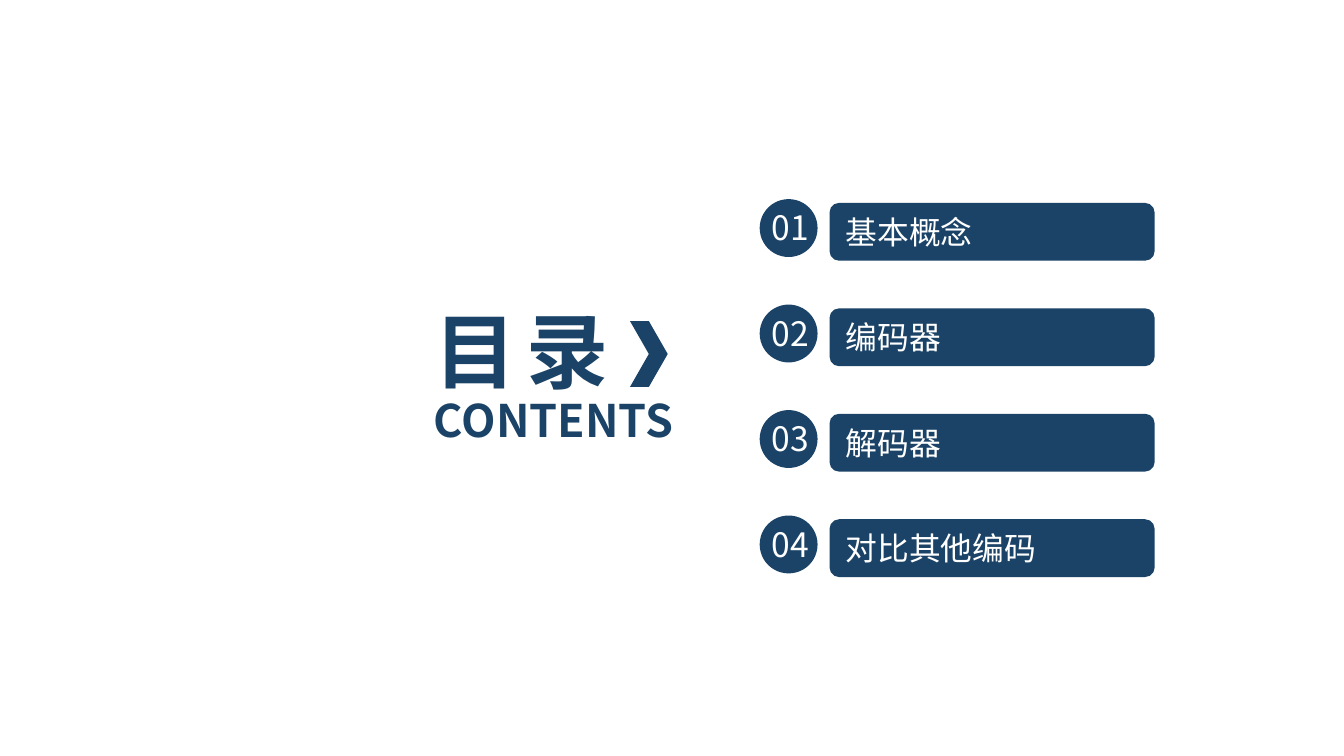
from pptx import Presentation
from pptx.dml.color import RGBColor
from pptx.enum.shapes import MSO_SHAPE
from pptx.enum.text import MSO_ANCHOR, MSO_AUTO_SIZE, PP_ALIGN
from pptx.util import Pt

NAVY = RGBColor(0x1B, 0x43, 0x67)
WHITE = RGBColor(0xFF, 0xFF, 0xFF)
BAR, DISC, CHEVRON = MSO_SHAPE.ROUNDED_RECTANGLE, MSO_SHAPE.OVAL, MSO_SHAPE.CHEVRON
LEFT, CENTER = PP_ALIGN.LEFT, PP_ALIGN.CENTER
MIDDLE, FIXED = MSO_ANCHOR.MIDDLE, MSO_AUTO_SIZE.NONE

CHAPTERS = ["基本概念", "编码器", "解码器", "对比其他编码"]
FIRST_TOP = 106.7
ROW_PITCH = 56.5
ROW_HEIGHT = 31


class ContentsSlide:
    font_name = "Noto Sans CJK SC"

    def __init__(self, presentation):
        self.slide = presentation.slides.add_slide(presentation.slide_layouts[5])

    def style_text(self, holder, text, size, color, align=LEFT, bold=False):
        frame = holder.text_frame
        frame.text = text
        frame.word_wrap = True
        frame.auto_size = FIXED
        frame.vertical_anchor = MIDDLE
        paragraph = frame.paragraphs[0]
        paragraph.alignment = align
        font = paragraph.runs[0].font
        font.name, font.size, font.bold = self.font_name, Pt(size), bold
        font.color.rgb = color
        # East Asian typeface follows the Latin one
        properties = paragraph.runs[0]._r.get_or_add_rPr()
        latin = properties.find("{*}latin")
        east_asian = latin.makeelement(latin.tag.replace("latin", "ea"),
                                       {"typeface": self.font_name})
        latin.addnext(east_asian)
        return properties

    def title(self, text, left, top, width, height):
        heading = self.slide.shapes.title
        heading.left, heading.top = Pt(left), Pt(top)
        heading.width, heading.height = Pt(width), Pt(height)
        self.style_text(heading, text, 44, NAVY, bold=True).set("spc", "-220")

    def label(self, text, left, top, width, height, size, color,
              align=LEFT, bold=False, parent=None):
        shapes = (parent or self.slide).shapes
        box = shapes.add_textbox(Pt(left), Pt(top), Pt(width), Pt(height))
        self.style_text(box, text, size, color, align, bold)

    def block(self, kind, left, top, width, height, parent=None):
        shapes = (parent or self.slide).shapes
        block = shapes.add_shape(kind, Pt(left), Pt(top), Pt(width), Pt(height))
        block.shadow.inherit = False
        block.fill.solid()
        block.fill.fore_color.rgb = NAVY
        block.line.fill.background()
        return block

    def chapter(self, number, name, top):
        bar = self.block(BAR, 444.4, top + 2, 174.2, ROW_HEIGHT)
        self.style_text(bar, name, 17, WHITE)
        badge = self.slide.shapes.add_group_shape()
        self.block(DISC, 407, top, ROW_HEIGHT, ROW_HEIGHT, badge)
        self.label(f"{number:02d}", 404.6, top + 0.7, 37.4, 28.8, 18, WHITE,
                   CENTER, parent=badge)


def main():
    presentation = Presentation()
    presentation.slide_width, presentation.slide_height = Pt(720), Pt(405)
    contents = ContentsSlide(presentation)

    # Heading with its pointer
    contents.title("目 录", 225.4, 157.2, 169.2, 60.5)
    contents.label("CONTENTS", 225.4, 206.8, 166.3, 36, 24, NAVY, bold=True)
    contents.block(CHEVRON, 337.5, 172, 20.2, 35.3)

    # Numbered chapters
    for index, name in enumerate(CHAPTERS):
        contents.chapter(index + 1, name, FIRST_TOP + index * ROW_PITCH)

    presentation.save("out.pptx")


if __name__ == "__main__":
    main()
